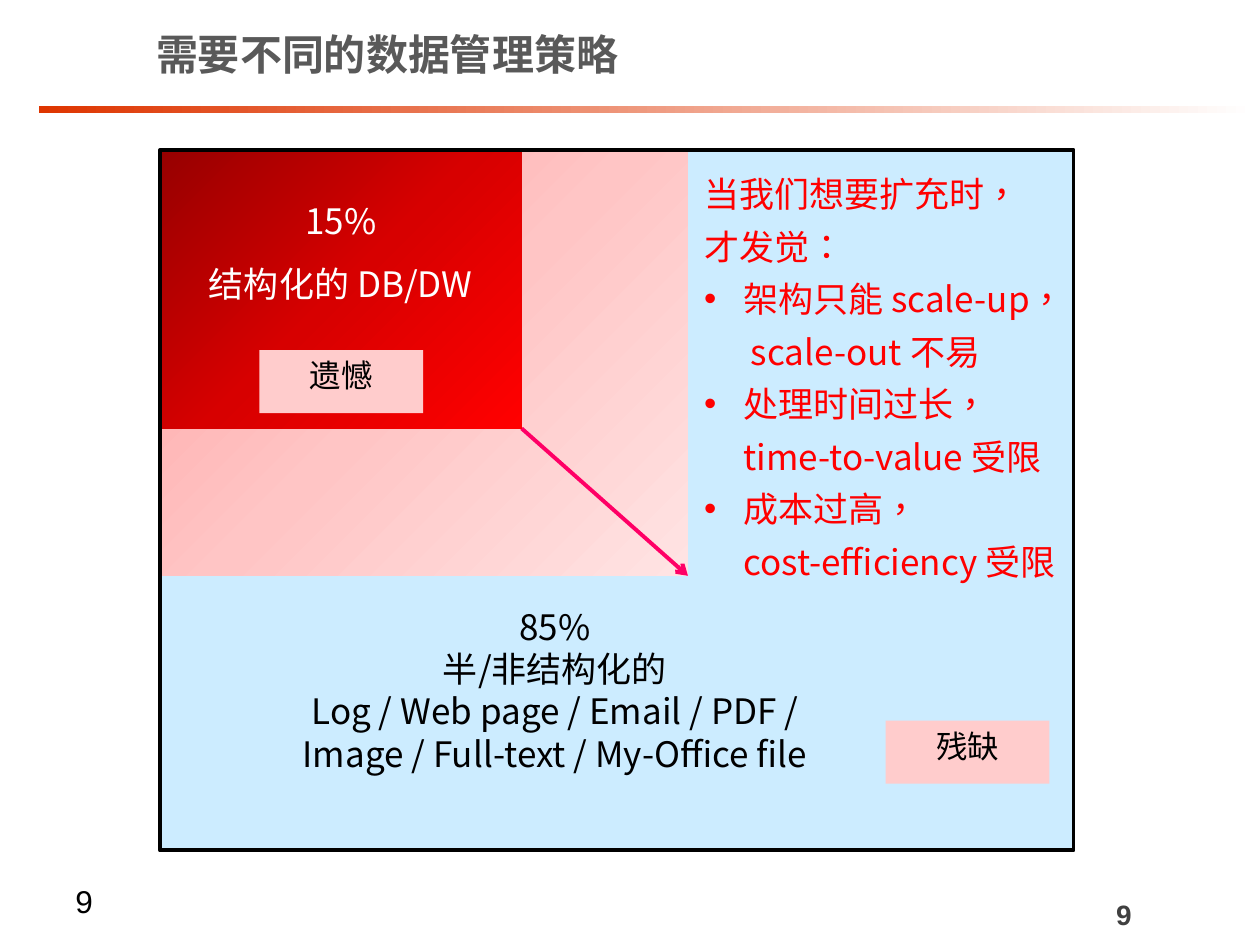
from dataclasses import dataclass

from lxml.etree import SubElement
from pptx import Presentation
from pptx.dml.color import RGBColor
from pptx.enum.lang import MSO_LANGUAGE_ID
from pptx.enum.shapes import MSO_CONNECTOR, MSO_SHAPE
from pptx.enum.text import MSO_ANCHOR, PP_ALIGN
from pptx.oxml.ns import qn
from pptx.util import Inches, Pt

COLUMNS, ROWS = 100, 75
CELL = Inches(10) // COLUMNS


@dataclass(frozen=True)
class Theme:
    sans: str = "Noto Sans CJK SC"
    latin: str = "Arial"
    title_size: int = 24
    body_size: int = 20
    label_size: int = 18
    number_size: int = 16
    line_width: float = 2.25
    title: str = "595959"
    number: str = "404040"
    black: str = "000000"
    white: str = "FFFFFF"
    alert: str = "FF0000"
    sky: str = "CCECFF"
    tag: str = "FFCCCC"
    arrow: str = "FF0066"
    rule: tuple = ("DE3500", "FFFFFF")
    pale: tuple = ("FFA0A0", "FFC5C5", "FFE3E3")
    deep: tuple = ("970000", "D70000", "FF0000")


THEME = Theme()


@dataclass(frozen=True)
class Box:
    """An area measured in grid columns and rows."""
    left: float
    top: float
    width: float
    height: float

    def area(self, left, top, width, height):
        return Box(self.left + left, self.top + top, width, height)

    def lengths(self):
        return [round(n * CELL) for n in (self.left, self.top, self.width, self.height)]


def add_gradient(shape, colors, angle):
    shape.fill.background()
    properties = shape._element.spPr
    old = properties.find(qn("a:noFill"))
    gradient = properties.makeelement(qn("a:gradFill"), {"rotWithShape": "1"})
    stops = SubElement(gradient, qn("a:gsLst"))
    for index, color in enumerate(colors):
        position = index * 100000 // (len(colors) - 1)
        stop = SubElement(stops, qn("a:gs"), pos=str(position))
        SubElement(stop, qn("a:srgbClr"), val=color)
    SubElement(gradient, qn("a:lin"), ang=str(angle * 60000), scaled="0")
    properties.replace(old, gradient)


def add_rectangle(page, box, fill=None, gradient=None, angle=45, line=None):
    shape = page.shapes.add_shape(MSO_SHAPE.RECTANGLE, *box.lengths())
    shape.shadow.inherit = False
    if gradient:
        add_gradient(shape, gradient, angle)
    elif fill:
        shape.fill.solid()
        shape.fill.fore_color.rgb = RGBColor.from_string(fill)
    else:
        shape.fill.background()
    if line:
        shape.line.color.rgb = RGBColor.from_string(line)
        shape.line.width = Pt(THEME.line_width)
    else:
        shape.line.fill.background()
    return shape


def add_textbox(page, box):
    return page.shapes.add_textbox(*box.lengths())


def set_indent(para, indent, bullet):
    properties = para._p.get_or_add_pPr()
    properties.set("marL", str(Inches(indent)))
    properties.set("indent", str(-Inches(indent) if bullet else 0))
    if bullet:
        SubElement(properties, qn("a:buFont"), typeface=THEME.latin)
        SubElement(properties, qn("a:buChar"), char="•")


def write(shape, lines, size, color, font=THEME.sans, bold=False, after=0,
          align=PP_ALIGN.LEFT, anchor=MSO_ANCHOR.TOP, top_margin=0.05, language=None):
    """Each line is a string, or a tuple of string, indent and bullet flag."""
    frame = shape.text_frame
    frame.word_wrap = True
    frame.vertical_anchor = anchor
    frame.margin_top = Inches(top_margin)
    for index, line in enumerate(lines):
        text, indent, bullet = (line, 0, False) if isinstance(line, str) else line
        para = frame.paragraphs[0] if index == 0 else frame.add_paragraph()
        para.alignment = align
        para.space_after = Pt(after)
        if indent:
            set_indent(para, indent, bullet)
        span = para.add_run()
        span.text = text
        span.font.size = Pt(size)
        span.font.bold = bold
        span.font.name = font
        span.font.color.rgb = RGBColor.from_string(color)
        if language:
            span.font.language_id = language
        SubElement(span._r.get_or_add_rPr(), qn("a:ea"), typeface=THEME.sans)


def add_arrow(page, start, end):
    ends = [round(n * CELL) for n in (*start, *end)]
    arrow = page.shapes.add_connector(MSO_CONNECTOR.STRAIGHT, *ends)
    arrow.line.color.rgb = RGBColor.from_string(THEME.arrow)
    arrow.line.width = Pt(THEME.line_width)
    SubElement(arrow.line._get_or_add_ln(), qn("a:tailEnd"), type="arrow")
    SubElement(arrow._element.spPr, qn("a:effectLst"))


def add_header(page, box):
    write(add_textbox(page, box.area(11.4, 0, 84.3, 8.5)), ["需要不同的数据管理策略"],
          THEME.title_size, THEME.title, bold=True, anchor=MSO_ANCHOR.MIDDLE)
    add_rectangle(page, box.area(3.1, 8.4, 96.5, 0.6), gradient=THEME.rule, angle=0)


def add_footer(page, box):
    write(add_textbox(page, box.area(5, 0, 23.3, 4)), ["9"],
          THEME.label_size, THEME.black, font=THEME.latin)
    write(add_textbox(page, box.area(78.4, 1.2, 21.6, 3.7)), ["9"], THEME.number_size,
          THEME.number, font=THEME.latin, bold=True, align=PP_ALIGN.CENTER,
          anchor=MSO_ANCHOR.MIDDLE)


def add_findings(page, box):
    lines = ["当我们想要扩充时，", "才发觉：",
             ("架构只能 scale-up，", 0.31, True), ("scale-out 不易", 0.37, False),
             ("处理时间过长，", 0.31, True), ("time-to-value 受限", 0.31, False),
             ("成本过高，", 0.31, True), ("cost-efficiency 受限", 0.31, False)]
    write(add_textbox(page, box), lines, THEME.body_size, THEME.alert, after=6,
          language=MSO_LANGUAGE_ID.TRADITIONAL_CHINESE)


def add_data_map(page, box):
    # Unstructured data fills the whole area
    add_rectangle(page, box, fill=THEME.sky)
    unstructured = add_rectangle(page, box.area(7, 35.7, 48.7, 14.5), fill=THEME.sky)
    write(unstructured, ["85%", "半/非结构化的",
                         "Log / Web page / Email / PDF / Image / Full-text / My-Office file"],
          THEME.body_size, THEME.black, align=PP_ALIGN.CENTER)

    # Growth zone, with the arrow from inner corner to outer corner
    growth = box.area(0, 0, 41.9, 33.8)
    core = box.area(0, 0.1, 28.7, 22)
    add_rectangle(page, growth, gradient=THEME.pale)
    add_arrow(page, (core.left + core.width, core.top + core.height),
              (growth.left + growth.width, growth.top + growth.height))
    add_findings(page, box.area(42.2, 1.3, 31.9, 33.8))

    # Structured core
    write(add_rectangle(page, core, gradient=THEME.deep), ["15%", "结构化的 DB/DW"],
          THEME.body_size, THEME.white, after=12, align=PP_ALIGN.CENTER, top_margin=0.38)

    # Outline and tags on top
    add_rectangle(page, box, line=THEME.black)
    for text, left, top in (("遗憾", 7.9, 15.9), ("残缺", 57.6, 45.3)):
        tag = add_rectangle(page, box.area(left, top, 13, 5), fill=THEME.tag)
        write(tag, [text], THEME.label_size, THEME.black, font=THEME.latin,
              align=PP_ALIGN.CENTER)


def main():
    deck = Presentation()
    deck.slide_width, deck.slide_height = COLUMNS * CELL, ROWS * CELL
    page = deck.slides.add_slide(deck.slide_layouts[6])
    add_header(page, Box(0, 0, COLUMNS, 9))
    add_data_map(page, Box(12.7, 11.9, 72.5, 55.6))
    add_footer(page, Box(0, 69.5, COLUMNS, 5.5))
    deck.save("out.pptx")


if __name__ == "__main__":
    main()
